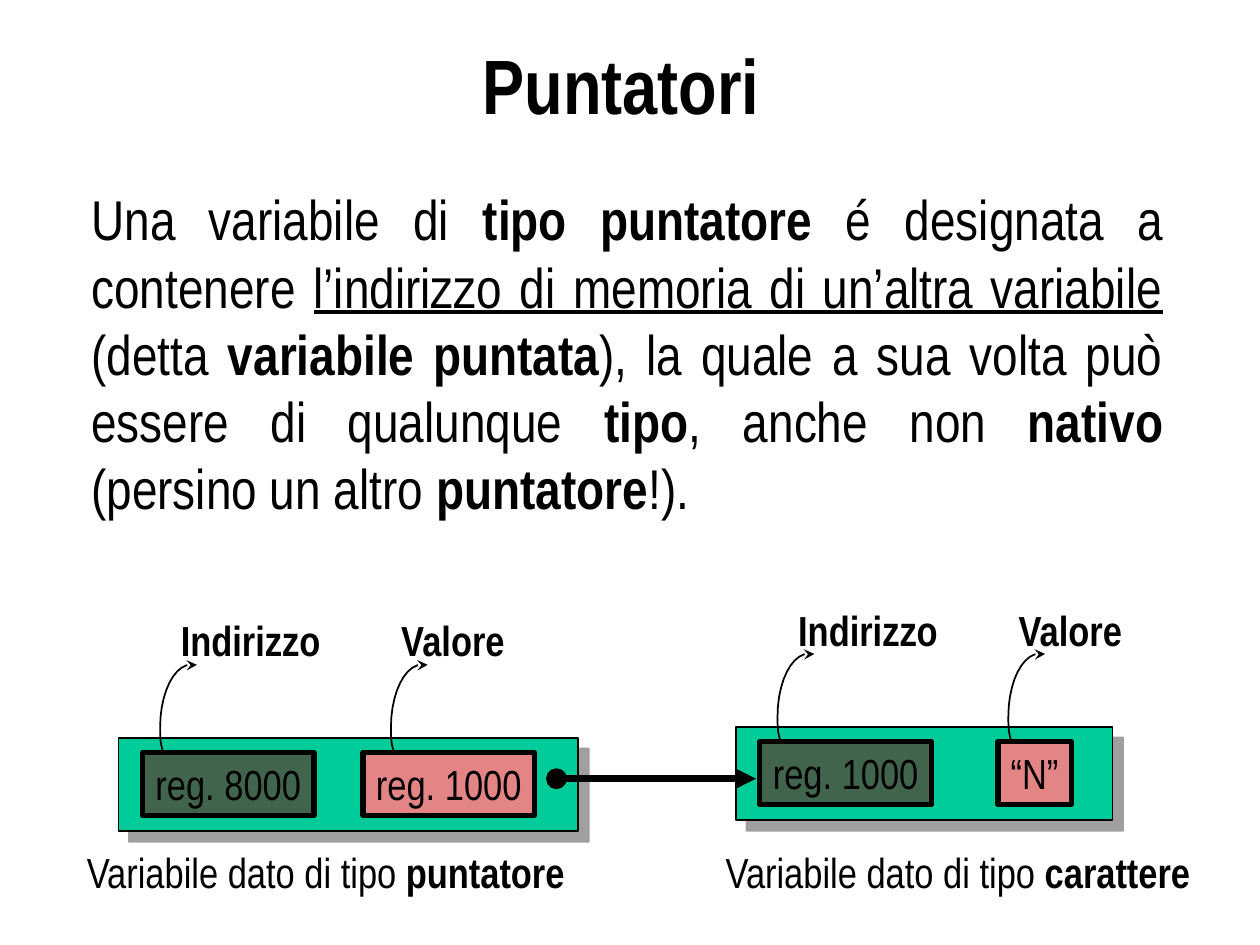
from lxml.etree import SubElement
from pptx import Presentation
from pptx.dml.color import RGBColor
from pptx.enum.shapes import MSO_CONNECTOR, MSO_SHAPE
from pptx.enum.text import MSO_ANCHOR, MSO_AUTO_SIZE, PP_ALIGN
from pptx.oxml.ns import qn
from pptx.util import Pt

BLACK = RGBColor(0x00, 0x00, 0x00)
GREEN = RGBColor(0x00, 0xCC, 0x99)
MAROON = RGBColor(0x80, 0x00, 0x00)
PINK = RGBColor(0xE4, 0x85, 0x85)
GREY = RGBColor(0x80, 0x80, 0x80)
FONT = "Arial Narrow"
BOX_H = 36
ARROW_CURVES = [
    [(1.4, 49), (0, 44.6), (0, 40.2), (0, 36)],
    [(0, 36), (0, 16.1), (8.1, 0), (18, 0)],
    [(18, 0), (19, 0), (20, 0), (21, 0.2)],
]
BODY = [
    ("Una variabile di ", ""), ("tipo puntatore", "b"),
    (" é designata a contenere ", ""),
    ("l’indirizzo di memoria di un’altra variabile", "u"),
    (" (detta ", ""), ("variabile puntata", "b"),
    ("), la quale a sua volta può essere di qualunque ", ""), ("tipo", "b"),
    (", anche non ", ""), ("nativo", "b"), (" (persino un altro ", ""),
    ("puntatore", "b"), ("!). ", ""),
]


def add_runs(p, runs, size):
    """Append (text, style) runs, where style is "b", "u" or empty."""
    for text, style in runs:
        r = p.add_run()
        r.text = text
        r.font.name = FONT
        r.font.size = Pt(size)
        r.font.color.rgb = BLACK
        r.font.bold = style == "b"
        r.font.underline = style == "u"


def fill_placeholder(sp, box, runs, size, align, anchor):
    """Place a placeholder, write its only paragraph and return that."""
    sp.left, sp.top, sp.width, sp.height = map(Pt, box)
    tf = sp.text_frame
    tf.auto_size = MSO_AUTO_SIZE.NONE
    tf.vertical_anchor = anchor
    p = tf.paragraphs[0]
    p.alignment = align
    add_runs(p, runs, size)
    return p


def indent_body(p):
    """Indent the paragraph without a bullet."""
    p.space_before = Pt(8)
    pPr = p._p.get_or_add_pPr()
    pPr.set("marL", str(Pt(27)))
    pPr.set("indent", "0")
    SubElement(pPr, qn("a:buNone"))


def add_alpha(parent, percent):
    """Set the opacity of the colour found below parent."""
    color = next(parent.iter(qn("a:srgbClr")))
    SubElement(color, qn("a:alpha")).set("val", str(percent * 1000))


def add_rect(shapes, x, y, w, h, color, weight):
    """Add a black-edged rectangle."""
    sp = shapes.add_shape(MSO_SHAPE.RECTANGLE, Pt(x), Pt(y), Pt(w), Pt(h))
    sp.shadow.inherit = False
    sp.fill.solid()
    sp.fill.fore_color.rgb = color
    sp.line.color.rgb = BLACK
    sp.line.width = Pt(weight)
    return sp


def add_drop_shadow(sp):
    """Give a shape a hard grey shadow to the lower right."""
    effects = sp.element.spPr.find(qn("a:effectLst"))
    shadow = SubElement(effects, qn("a:outerShdw"), dist=str(Pt(8.5)),
                        dir="2700000", algn="ctr", rotWithShape="0")
    SubElement(shadow, qn("a:srgbClr")).set("val", str(GREY))
    add_alpha(shadow, 75)


def set_text(sp, runs, align):
    """Write one unwrapped 24 pt line in a shape."""
    tf = sp.text_frame
    tf.word_wrap = False
    tf.auto_size = MSO_AUTO_SIZE.SHAPE_TO_FIT_TEXT
    p = tf.paragraphs[0]
    p.alignment = align
    add_runs(p, runs, 24)


def add_cell(shapes, x, y, w, color, text):
    """Add a memory cell with its content."""
    sp = add_rect(shapes, x, y, w, BOX_H, color, 3)
    sp.text_frame.vertical_anchor = MSO_ANCHOR.MIDDLE
    set_text(sp, [(text, "")], PP_ALIGN.CENTER)
    return sp


def add_label(shapes, x, y, w, runs):
    """Add a free-standing line of text."""
    tb = shapes.add_textbox(Pt(x), Pt(y), Pt(w), Pt(BOX_H))
    set_text(tb, runs, PP_ALIGN.LEFT)


def bezier(points, t):
    """Return the point at t on a cubic curve."""
    weights = ((1 - t) ** 3, 3 * t * (1 - t) ** 2, 3 * t * t * (1 - t), t ** 3)
    return tuple(sum(k * pt[i] for k, pt in zip(weights, points)) for i in (0, 1))


def add_curved_arrow(shapes, x, y):
    """Add a thin curved arrow from a cell up to its label."""
    dots = [bezier(c, i / 10) for c in ARROW_CURVES for i in range(1, 11)]
    dx, dy = ARROW_CURVES[0][0]
    fb = shapes.build_freeform(Pt(x + dx), Pt(y + dy))
    fb.add_line_segments([(Pt(x + a), Pt(y + b)) for a, b in dots], close=False)
    sp = fb.convert_to_shape()
    sp.shadow.inherit = False
    sp.fill.background()
    sp.line.color.rgb = BLACK
    sp.line.width = Pt(1)
    SubElement(sp.element.spPr.get_or_add_ln(), qn("a:tailEnd"), type="stealth")


def add_variable(s, x, y, w, address, value, value_x, value_w, caption):
    """Draw a variable: frame, address cell, value cell, labels and caption."""
    shapes = s.shapes.add_group_shape().shapes
    add_drop_shadow(add_rect(shapes, x, y, w, 53.3, GREEN, 1))
    cell = add_cell(shapes, x + 13.7, y + 8.3, 98, MAROON, address)
    add_alpha(cell.element.spPr.find(qn("a:solidFill")), 50)
    add_cell(shapes, x + value_x, y + 8.3, value_w, PINK, value)
    for name, arrow_x, label_x, label_w in (("Indirizzo", 23.8, 28.5, 94.3),
                                            ("Valore", 155.7, 154.5, 74.9)):
        add_curved_arrow(shapes, x + arrow_x, y - 42)
        add_label(shapes, x + label_x, y - 73.8, label_w, [(name, "b")])
    kind, caption_x, caption_w = caption
    add_label(shapes, caption_x, 480.2, caption_w,
              [("Variabile dato di tipo ", ""), (kind, "b")])


def add_pointer(s, x1, x2, y):
    """Draw the thick arrow from the pointer to the variable."""
    cn = s.shapes.add_connector(MSO_CONNECTOR.STRAIGHT, Pt(x1), Pt(y), Pt(x2), Pt(y))
    cn.line.color.rgb = BLACK
    cn.line.width = Pt(4)
    spPr = cn.element.spPr
    ln = spPr.get_or_add_ln()
    SubElement(ln, qn("a:headEnd"), type="oval")
    SubElement(ln, qn("a:tailEnd"), type="triangle")
    SubElement(spPr, qn("a:effectLst"))


def main():
    """Build the slide and save it."""
    prs = Presentation()
    prs.slide_width, prs.slide_height = Pt(720), Pt(540)
    s = prs.slides.add_slide(prs.slide_layouts[1])
    title, body = s.placeholders
    fill_placeholder(title, (54, 18, 612, 60), [("Puntatori ", "b")], 44,
                     PP_ALIGN.CENTER, MSO_ANCHOR.MIDDLE)
    p = fill_placeholder(body, (18, 102, 654, 402), BODY, 32,
                         PP_ALIGN.JUSTIFY, MSO_ANCHOR.TOP)
    indent_body(p)
    add_variable(s, 420.5, 415.5, 215.3, "reg. 1000", "“N”", 149.8, 41.8,
                 ("carattere", 407.5, 281.5))
    add_variable(s, 67.7, 421.7, 262.8, "reg. 8000", "reg. 1000", 139.7, 98,
                 ("puntatore", 42.5, 289.4))
    add_pointer(s, 318, 432, 445)
    prs.save("out.pptx")


if __name__ == "__main__":
    main()
